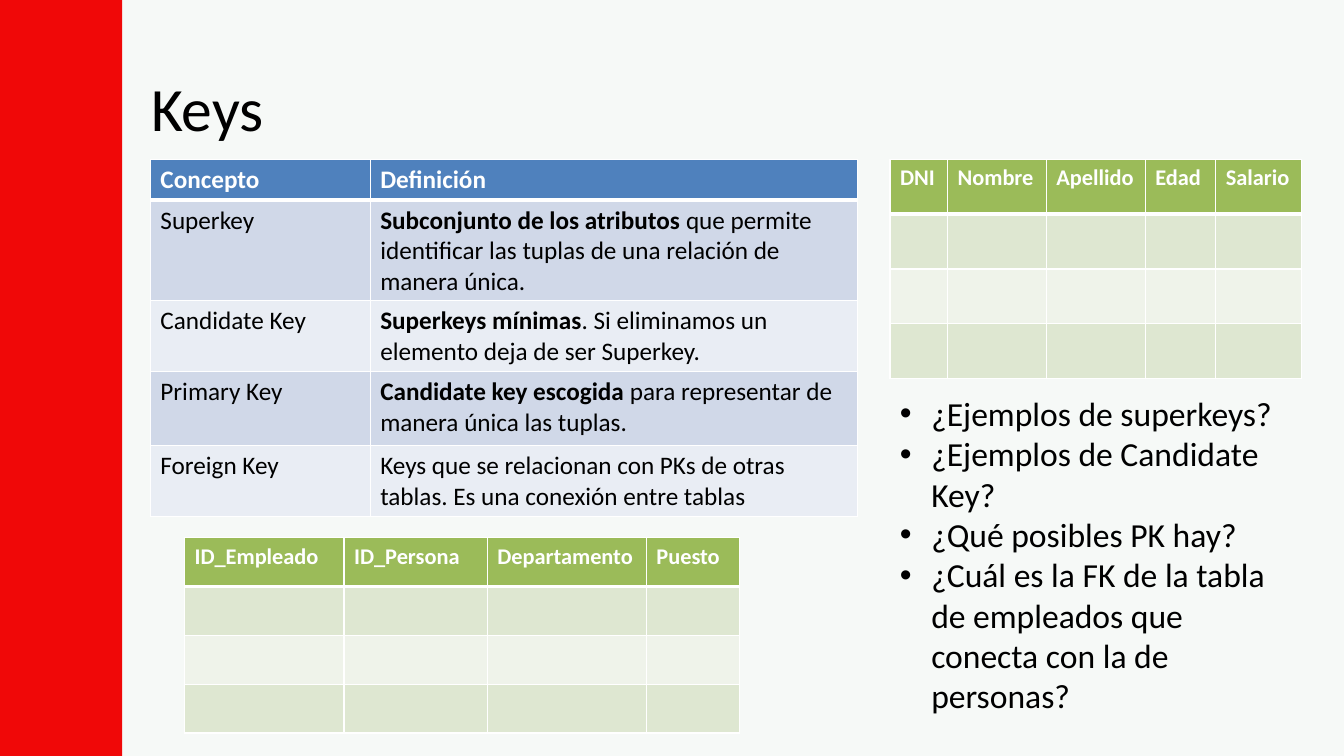
from pptx import Presentation
from pptx.dml.color import RGBColor
from pptx.enum.shapes import MSO_SHAPE
from pptx.enum.text import MSO_ANCHOR, MSO_AUTO_SIZE as AutoSize, PP_ALIGN
from pptx.oxml.ns import qn
from pptx.util import Cm, Pt
from lxml.etree import SubElement
from dataclasses import dataclass

TITLE = "Keys"
# A cell is a list of (text, bold) runs
CONCEPTS = [
    [[("Concepto", True)], [("Definición", True)]],
    [[("Superkey", False)],
     [("Subconjunto de los atributos ", True),
      ("que permite identificar las tuplas de una relación de manera única.", False)]],
    [[("Candidate Key", False)],
     [("Superkeys mínimas", True),
      (". Si eliminamos un elemento deja de ser Superkey.", False)]],
    [[("Primary Key", False)],
     [("Candidate key escogida ", True),
      ("para representar de manera única las tuplas.", False)]],
    [[("Foreign Key", False)],
     [("Keys que se relacionan con PKs de otras tablas. "
       "Es una conexión entre tablas", False)]],
]
PERSON_FIELDS = ["DNI", "Nombre", "Apellido", "Edad", "Salario"]
EMPLOYEE_FIELDS = ["ID_Empleado", "ID_Persona", "Departamento", "Puesto"]
EMPTY_ROWS = 3
QUESTIONS = [
    "¿Ejemplos de superkeys?",
    "¿Ejemplos de Candidate Key?",
    "¿Qué posibles PK hay?",
    "¿Cuál es la FK de la tabla de empleados que conecta con la de personas?",
]


@dataclass(frozen=True)
class Theme:
    font: str = "Calibri"
    sidebar: str = "F00808"
    panel: str = "F6F9F7"
    text: str = "000000"
    light: str = "FFFFFF"
    # Header, odd row, even row
    blue: tuple = ("4F81BD", "D0D8E8", "E9EDF4")
    green: tuple = ("9BBB59", "DEE7D1", "EFF3EA")
    title_size: int = 44
    question_size: int = 24
    concept_size: int = 18
    field_size: int = 16
    border: int = 1
    header_border: int = 3


THEME = Theme()
SLIDE_WIDTH, SLIDE_HEIGHT = 33.87, 19.05
SIDEBAR_WIDTH = 3.08
TABLE_TOP = 4.02
RIGHT_LEFT, RIGHT_WIDTH = 22.43, 10.36
BULLET_INDENT = 0.79


def write(paragraph, runs, *, size, color=THEME.text):
    """Add (text, bold) runs to a paragraph."""
    paragraph.alignment = PP_ALIGN.LEFT
    for text, bold in runs:
        run = paragraph.add_run()
        run.text = text
        run.font.name = THEME.font
        run.font.size = Pt(size)
        run.font.bold = bold
        run.font.color.rgb = RGBColor.from_string(color)


def add_panel(slide, left, width, color):
    shape = slide.shapes.add_shape(
        MSO_SHAPE.RECTANGLE, Cm(left), 0, Cm(width), Cm(SLIDE_HEIGHT))
    shape.shadow.inherit = False
    shape.fill.solid()
    shape.fill.fore_color.rgb = RGBColor.from_string(color)
    shape.line.fill.background()


def set_borders(cell, row):
    properties = cell._tc.get_or_add_tcPr()
    widths = {
        "L": THEME.border,
        "R": THEME.border,
        "T": THEME.header_border if row == 1 else THEME.border,
        "B": THEME.header_border if row == 0 else THEME.border,
    }
    for side, width in widths.items():
        line = SubElement(properties, qn(f"a:ln{side}"), w=str(Pt(width)))
        fill = SubElement(line, qn("a:solidFill"))
        SubElement(fill, qn("a:srgbClr"), val=THEME.light)


def add_grid(slide, rows, left, top, widths, heights, *, palette, size):
    """Add a table with a header row and alternating row colours."""
    table = slide.shapes.add_table(
        len(rows), len(widths), Cm(left), Cm(top),
        Cm(sum(widths)), Cm(sum(heights))).table
    for column, width in zip(table.columns, widths):
        column.width = Cm(width)
    header, odd, even = palette
    for r, (cells, height) in enumerate(zip(rows, heights)):
        table.rows[r].height = Cm(height)
        background = header if r == 0 else (odd if r % 2 else even)
        for c, runs in enumerate(cells):
            cell = table.cell(r, c)
            set_borders(cell, r)
            cell.fill.solid()
            cell.fill.fore_color.rgb = RGBColor.from_string(background)
            write(cell.text_frame.paragraphs[0], runs, size=size,
                  color=THEME.text if r else THEME.light)


def add_relation(slide, fields, left, top, widths, row_height):
    """Add a table of field names over empty rows."""
    rows = [[[(field, True)] for field in fields]]
    rows += [[[] for _ in fields] for _ in range(EMPTY_ROWS)]
    add_grid(slide, rows, left, top, widths, [row_height] * len(rows),
             palette=THEME.green, size=THEME.field_size)


def format_title(title):
    title.left, title.top = Cm(3.78), Cm(1.74)
    title.width, title.height = Cm(16.74), Cm(1.93)
    frame = title.text_frame
    frame.margin_left = frame.margin_right = frame.margin_bottom = 0
    frame.margin_top = Cm(0.03)
    frame.vertical_anchor = MSO_ANCHOR.TOP
    frame.auto_size = AutoSize.SHAPE_TO_FIT_TEXT
    paragraph = frame.paragraphs[0]
    paragraph.space_before = Pt(1)
    paragraph.line_spacing = 1.0
    write(paragraph, [(TITLE, False)], size=THEME.title_size)
    paragraph._p.get_or_add_pPr().set("marL", str(Cm(0.03)))
    paragraph.runs[0].font._element.set("spc", "-10")


def add_questions(slide):
    box = slide.shapes.add_textbox(
        Cm(RIGHT_LEFT), Cm(9.78), Cm(RIGHT_WIDTH), Cm(10.52))
    frame = box.text_frame
    frame.word_wrap = True
    frame.auto_size = AutoSize.SHAPE_TO_FIT_TEXT
    for index, question in enumerate(QUESTIONS):
        paragraph = frame.add_paragraph() if index else frame.paragraphs[0]
        write(paragraph, [(question, False)], size=THEME.question_size)
        properties = paragraph._p.get_or_add_pPr()
        properties.set("marL", str(Cm(BULLET_INDENT)))
        properties.set("indent", str(-Cm(BULLET_INDENT)))
        SubElement(properties, qn("a:buFont"), typeface="Arial")
        SubElement(properties, qn("a:buChar"), char="•")


def main():
    presentation = Presentation()
    presentation.slide_width = Cm(SLIDE_WIDTH)
    presentation.slide_height = Cm(SLIDE_HEIGHT)
    slide = presentation.slides.add_slide(presentation.slide_layouts[5])
    title = slide.shapes.title
    add_panel(slide, SIDEBAR_WIDTH, SLIDE_WIDTH - SIDEBAR_WIDTH, THEME.panel)
    add_panel(slide, 0, SIDEBAR_WIDTH, THEME.sidebar)
    # Moving the title to the end of the tree puts it above the panels
    slide.shapes._spTree.append(title._element)
    format_title(title)
    add_grid(slide, CONCEPTS, 3.79, TABLE_TOP, [5.54, 12.27],
             [1.02, 2.53, 1.79, 1.86, 1.78],
             palette=THEME.blue, size=THEME.concept_size)
    add_relation(slide, PERSON_FIELDS, RIGHT_LEFT, TABLE_TOP,
                 [1.45, 2.49, 2.49, 1.78, 2.15], 1.38)
    add_questions(slide)
    add_relation(slide, EMPLOYEE_FIELDS, 4.65, 13.55,
                 [4.02, 3.61, 4.01, 2.34], 1.23)
    presentation.save("out.pptx")


if __name__ == "__main__":
    main()
